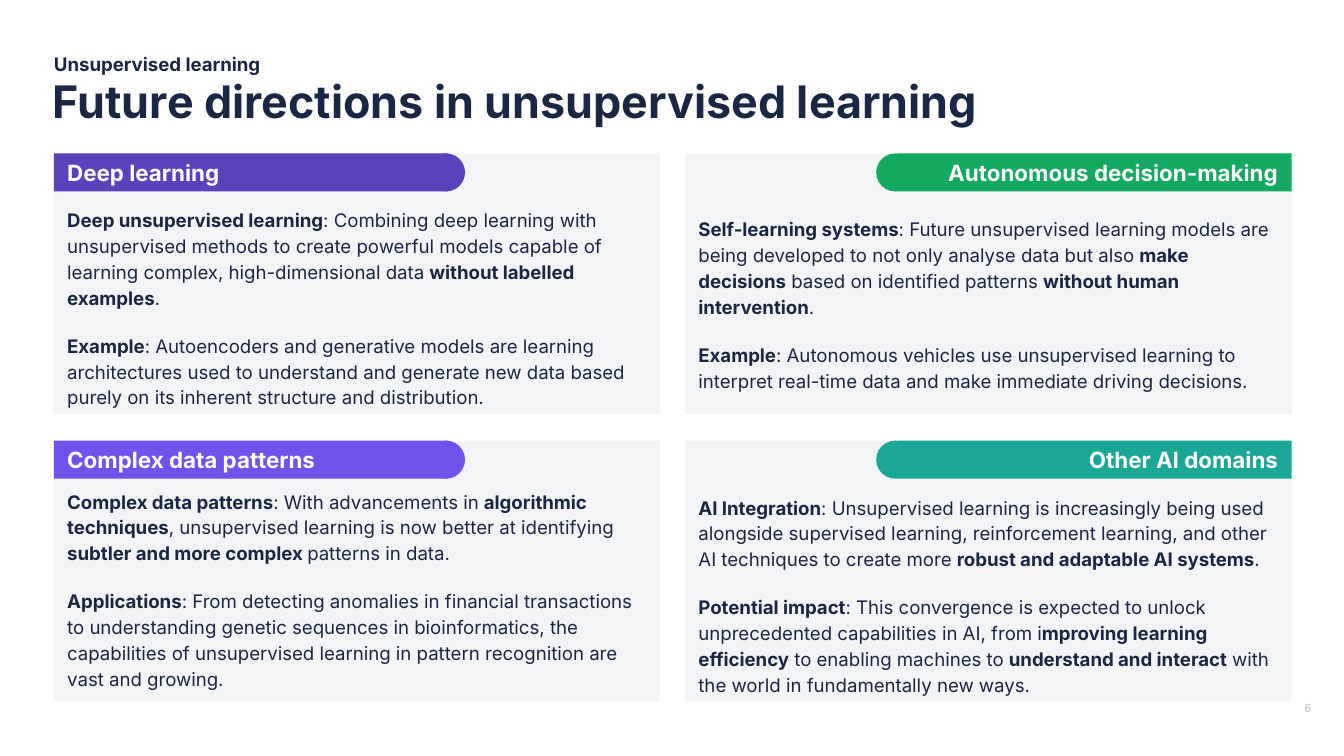
from lxml.etree import SubElement
from pptx import Presentation
from pptx.dml.color import RGBColor
from pptx.enum.shapes import MSO_SHAPE
from pptx.enum.text import MSO_ANCHOR, MSO_AUTO_SIZE, PP_ALIGN
from pptx.oxml.ns import qn
from pptx.util import Cm, Pt

NAVY = RGBColor(0x1A, 0x27, 0x44)
WHITE = RGBColor(0xFF, 0xFF, 0xFF)
PANEL = RGBColor(0xF3, 0xF4, 0xF6)
GREY = RGBColor(0xBA, 0xBE, 0xC7)
INDIGO = RGBColor(0x5A, 0x42, 0xBB)
VIOLET = RGBColor(0x70, 0x53, 0xEA)
GREEN = RGBColor(0x14, 0xA9, 0x61)
TEAL = RGBColor(0x1B, 0xA7, 0x96)

LEFT, TOP = 1.02, 2.9
COL_STEP, ROW_STEP = 11.93, 5.43
PANEL_W, PANEL_H = 11.46, 4.93
TAB_W, TAB_H = 7.44, 0.72
PAD = 0.25

CARDS = [
    ("Deep learning", INDIGO, MSO_ANCHOR.TOP, 4.19, [
        "*Deep unsupervised learning*: Combining deep learning with unsupervised methods to create "
        "powerful models capable of learning complex, high-dimensional data *without labelled examples*.",
        "*Example*: Autoencoders and generative models are learning architectures used to understand "
        "and generate new data based purely on its inherent structure and distribution."]),
    ("Autonomous decision-making", GREEN, MSO_ANCHOR.MIDDLE, 4.19, [
        "*Self-learning systems*: Future unsupervised learning models are being developed to not only "
        "analyse data but also *make decisions* based on identified patterns "
        "*without human intervention*.",
        "*Example*: Autonomous vehicles use unsupervised learning to interpret real-time data and make "
        "immediate driving decisions."]),
    ("Complex data patterns", VIOLET, MSO_ANCHOR.MIDDLE, 4.11, [
        "*Complex data patterns*: With advancements in *algorithmic techniques*, unsupervised learning "
        "is now better at identifying *subtler and more complex *patterns in data.",
        "*Applications*: From detecting anomalies in financial transactions to understanding genetic "
        "sequences in bioinformatics, the capabilities of unsupervised learning in pattern recognition "
        "are vast and growing."]),
    ("Other AI domains", TEAL, MSO_ANCHOR.TOP, 4.19, [
        "*AI Integration*: Unsupervised learning is increasingly being used alongside supervised "
        "learning, reinforcement learning, and other AI techniques to create more "
        "*robust and adaptable AI systems*.",
        "*Potential impact*: This convergence is expected to unlock unprecedented capabilities in AI, "
        "from i*mproving learning efficiency* to enabling machines to *understand and interact* with "
        "the world in fundamentally new ways."]),
]


class SlideBuilder:
    font = "Inter"

    def __init__(self, slide):
        self.s = slide

    def apply(self, target, **values):
        for name, value in values.items():
            setattr(target, name, value)

    def frame(self, sp, anchor=MSO_ANCHOR.TOP, margins=(PAD, PAD, PAD, PAD)):
        sides = ("margin_left", "margin_top", "margin_right", "margin_bottom")
        tf = sp.text_frame
        self.apply(tf, word_wrap=True, auto_size=MSO_AUTO_SIZE.NONE, vertical_anchor=anchor,
                   **dict(zip(sides, map(Cm, margins))))
        return tf

    def run(self, p, text, size, color=NAVY, bold=True):
        r = p.add_run()
        r.text = text
        self.apply(r.font, name=self.font, size=Pt(size), bold=bold)
        r.font.color.rgb = color

    def place(self, sp, x, y, w, h):
        self.apply(sp, left=Cm(x), top=Cm(y), width=Cm(w), height=Cm(h))

    def shape(self, kind, x, y, w, h, color):
        sp = self.s.shapes.add_shape(kind, Cm(x), Cm(y), Cm(w), Cm(h))
        sp.shadow.inherit = False
        sp.fill.solid()
        sp.fill.fore_color.rgb = color
        sp.line.fill.background()
        return sp

    def title(self, text, x, y, w, h):
        sp = self.s.shapes.title
        self.place(sp, x, y, w, h)
        p = self.frame(sp, margins=(0, 0, 0, 0)).paragraphs[0]
        p.alignment = PP_ALIGN.LEFT
        self.run(p, text, 24)

    def label(self, text, x, y, w, h, size, color, bold, anchor, margins):
        sp = self.s.shapes.add_textbox(Cm(x), Cm(y), Cm(w), Cm(h))
        self.run(self.frame(sp, anchor, margins).paragraphs[0], text, size, color, bold)

    def tab(self, text, x, y, color, right):
        cap_x = x - TAB_H / 2 - 0.05 if right else x + TAB_W - TAB_H / 2 - 0.03
        self.shape(MSO_SHAPE.OVAL, cap_x, y, TAB_H, TAB_H, color)
        sp = self.shape(MSO_SHAPE.RECTANGLE, x, y, TAB_W, TAB_H, color)
        p = self.frame(sp, MSO_ANCHOR.MIDDLE, (PAD, 0, PAD, 0)).paragraphs[0]
        p.alignment = PP_ALIGN.RIGHT if right else PP_ALIGN.LEFT
        self.run(p, text, 12, WHITE)

    def body(self, sp, paragraphs, x, y, w, h, anchor):
        self.s.shapes._spTree.append(sp._element)
        self.place(sp, x, y, w, h)
        tf = self.frame(sp, anchor)
        for i, text in enumerate(paragraphs):
            p = tf.add_paragraph() if i else tf.paragraphs[0]
            pPr = p._p.get_or_add_pPr()
            pPr.set("marL", "0")
            pPr.set("indent", "0")
            SubElement(pPr, qn("a:buNone"))
            gap = Pt(12 if i else 0)
            self.apply(p, alignment=PP_ALIGN.LEFT, line_spacing=1.15,
                       space_before=gap, space_after=gap)
            for j, part in enumerate(text.split("*")):
                if part:
                    self.run(p, part, 10, bold=j % 2 == 1)

    def card(self, sp, index, heading, color, anchor, body_h, paragraphs):
        row, col = divmod(index, 2)
        x, y = LEFT + col * COL_STEP, TOP + row * ROW_STEP
        self.shape(MSO_SHAPE.RECTANGLE, x, y, PANEL_W, PANEL_H, PANEL)
        self.body(sp, paragraphs, x, y + 0.74, PANEL_W, body_h, anchor)
        self.tab(heading, x + col * (PANEL_W - TAB_W), y, color, col == 1)


def main():
    prs = Presentation()
    prs.slide_width, prs.slide_height = Cm(25.4), Cm(14.29)
    s = prs.slides.add_slide(prs.slide_layouts.get_by_name("Comparison"))
    bodies = list(s.placeholders)[1:]
    b = SlideBuilder(s)
    b.title("Future directions in unsupervised learning", 1, 1.4, 23.39, 0.99)
    b.label("Unsupervised learning", LEFT, 1, 23.39, 0.41, 10, NAVY, True,
            MSO_ANCHOR.MIDDLE, (0, PAD, PAD, PAD))
    for i, (sp, card) in enumerate(zip(bodies, CARDS)):
        b.card(sp, i, *card)
    b.label("6", 24.4, 13.26, 0.99, 0.71, 6, GREY, False, MSO_ANCHOR.TOP, (PAD, 0, PAD, PAD))
    prs.save("out.pptx")


if __name__ == "__main__":
    main()
